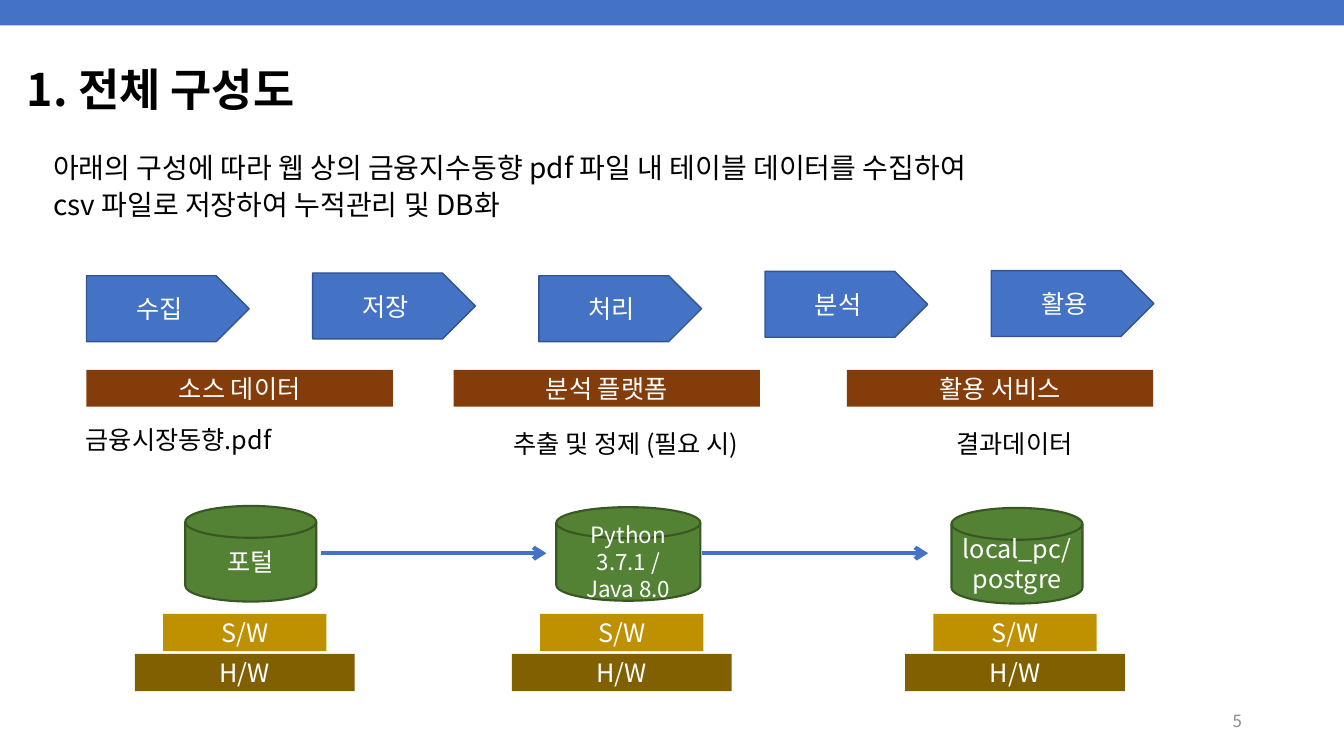
from dataclasses import dataclass

from lxml.etree import SubElement
from pptx import Presentation
from pptx.dml.color import RGBColor
from pptx.enum.shapes import MSO_CONNECTOR, MSO_SHAPE
from pptx.enum.text import MSO_ANCHOR, PP_ALIGN
from pptx.oxml.ns import qn
from pptx.util import Cm, Pt


@dataclass(frozen=True)
class Theme:
    font: str = "Noto Sans CJK KR"
    blue: str = "4472C4"
    blue_edge: str = "325491"
    brown: str = "843C0B"
    green: str = "548235"
    green_edge: str = "385723"
    gold: str = "BF9000"
    dark_gold: str = "806000"
    black: str = "000000"
    white: str = "FFFFFF"
    grey: str = "8C8C8C"
    title_size: int = 32
    body_size: int = 20
    label_size: int = 18
    small_size: int = 16
    number_size: int = 12


theme = Theme()


def write(shape, text, size=theme.label_size, color=theme.white, bold=False,
          align=PP_ALIGN.CENTER, anchor=MSO_ANCHOR.MIDDLE, spacing=1.0):
    """Fill a shape with text, one paragraph per line."""
    frame = shape.text_frame
    frame.word_wrap = True
    frame.vertical_anchor = anchor
    frame.text = text
    for paragraph in frame.paragraphs:
        paragraph.alignment = align
        paragraph.line_spacing = spacing
        for run in paragraph.runs:
            run.font.name = theme.font
            run.font.size = Pt(size)
            run.font.bold = bold
            run.font.color.rgb = RGBColor.from_string(color)
            east_asian = SubElement(run.font._element, qn("a:ea"))
            east_asian.set("typeface", theme.font)


def add_block(kind, left, top, width, height, fill, edge=None, edge_width=1):
    """Add a filled preset shape, outlined only when edge is given."""
    block = slide.shapes.add_shape(kind, Cm(left), Cm(top), Cm(width), Cm(height))
    block.shadow.inherit = False
    block.fill.solid()
    block.fill.fore_color.rgb = RGBColor.from_string(fill)
    if edge:
        block.line.color.rgb = RGBColor.from_string(edge)
        block.line.width = Pt(edge_width)
    else:
        block.line.fill.background()
    return block


presentation = Presentation()
presentation.slide_width = Cm(33.87)
presentation.slide_height = Cm(19.05)
slide = presentation.slides.add_slide(presentation.slide_layouts[6])

# Header, introduction and page number
add_block(MSO_SHAPE.RECTANGLE, 0, 0, 33.87, 0.64, theme.blue)

title = slide.shapes.add_textbox(Cm(0.43), Cm(1.19), Cm(32.84), Cm(2.26))
write(title, "1. 전체 구성도", size=theme.title_size, color=theme.black, bold=True,
      align=PP_ALIGN.LEFT, spacing=0.9)

introduction = slide.shapes.add_textbox(Cm(1.09), Cm(3.58), Cm(31.52), Cm(1.65))
write(introduction,
      "아래의 구성에 따라 웹 상의 금융지수동향 pdf 파일 내 테이블 데이터를 수집하여\n"
      "csv 파일로 저장하여 누적관리 및 DB화",
      size=theme.body_size, color=theme.black, align=PP_ALIGN.LEFT,
      anchor=MSO_ANCHOR.TOP, spacing=1.1)

page_number = slide.shapes.add_textbox(Cm(23.93), Cm(17.65), Cm(7.62), Cm(1.02))
write(page_number, "5", size=theme.number_size, color=theme.grey, align=PP_ALIGN.RIGHT)

# Process steps
steps = [("수집", 6.95), ("저장", 6.88), ("처리", 6.95), ("분석", 6.84), ("활용", 6.82)]
for index, (step_name, top) in enumerate(steps):
    step = add_block(MSO_SHAPE.PENTAGON, 2.18 + 5.7 * index, top, 4.1, 1.66,
                     theme.blue, theme.blue_edge)
    write(step, step_name)

# Section headings
for heading_name, left in [("소스 데이터", 2.18), ("분석 플랫폼", 11.43), ("활용 서비스", 21.34)]:
    heading = add_block(MSO_SHAPE.RECTANGLE, left, 9.32, 7.72, 0.93, theme.brown)
    write(heading, heading_name)

# Data descriptions
descriptions = [
    ("금융시장동향.pdf", 1.91, 10.57, 5.18),
    ("추출 및 정제 (필요 시)", 12.65, 10.67, 6.25),
    ("결과데이터", 23.85, 10.67, 3.43),
]
for content, left, top, width in descriptions:
    description = slide.shapes.add_textbox(Cm(left), Cm(top), Cm(width), Cm(1.02))
    write(description, content, color=theme.black, anchor=MSO_ANCHOR.TOP)

# Data stores
stores = [
    ("포털", 4.67, 12.75, 3.3, 2.41, theme.label_size),
    ("Python 3.7.1 /\nJava 8.0", 14.02, 12.78, 3.63, 2.36, theme.small_size),
    ("local_pc/\npostgre", 23.98, 12.8, 3.3, 2.41, theme.label_size),
]
for store_name, left, top, width, height, size in stores:
    store = add_block(MSO_SHAPE.FLOWCHART_MAGNETIC_DISK, left, top, width, height,
                      theme.green, theme.green_edge, 1.5)
    write(store, store_name, size=size)

# Data flow
for start, end in [(8.08, 13.77), (17.68, 23.39)]:
    flow = slide.shapes.add_connector(MSO_CONNECTOR.STRAIGHT,
                                      Cm(start), Cm(13.94), Cm(end), Cm(13.94))
    flow.line.color.rgb = RGBColor.from_string(theme.blue)
    flow.line.width = Pt(3)
    SubElement(flow.line._get_or_add_ln(), qn("a:tailEnd")).set("type", "arrow")
    SubElement(flow._element.spPr, qn("a:effectLst"))

# Software and hardware layers, centred under each store
layers = [("S/W", 15.47, 4.11, theme.gold), ("H/W", 16.48, 5.54, theme.dark_gold)]
for center in (6.17, 15.67, 25.58):
    for layer_name, top, width, color in layers:
        layer = add_block(MSO_SHAPE.RECTANGLE, center - width / 2, top, width, 0.94, color)
        write(layer, layer_name)

presentation.save("out.pptx")
